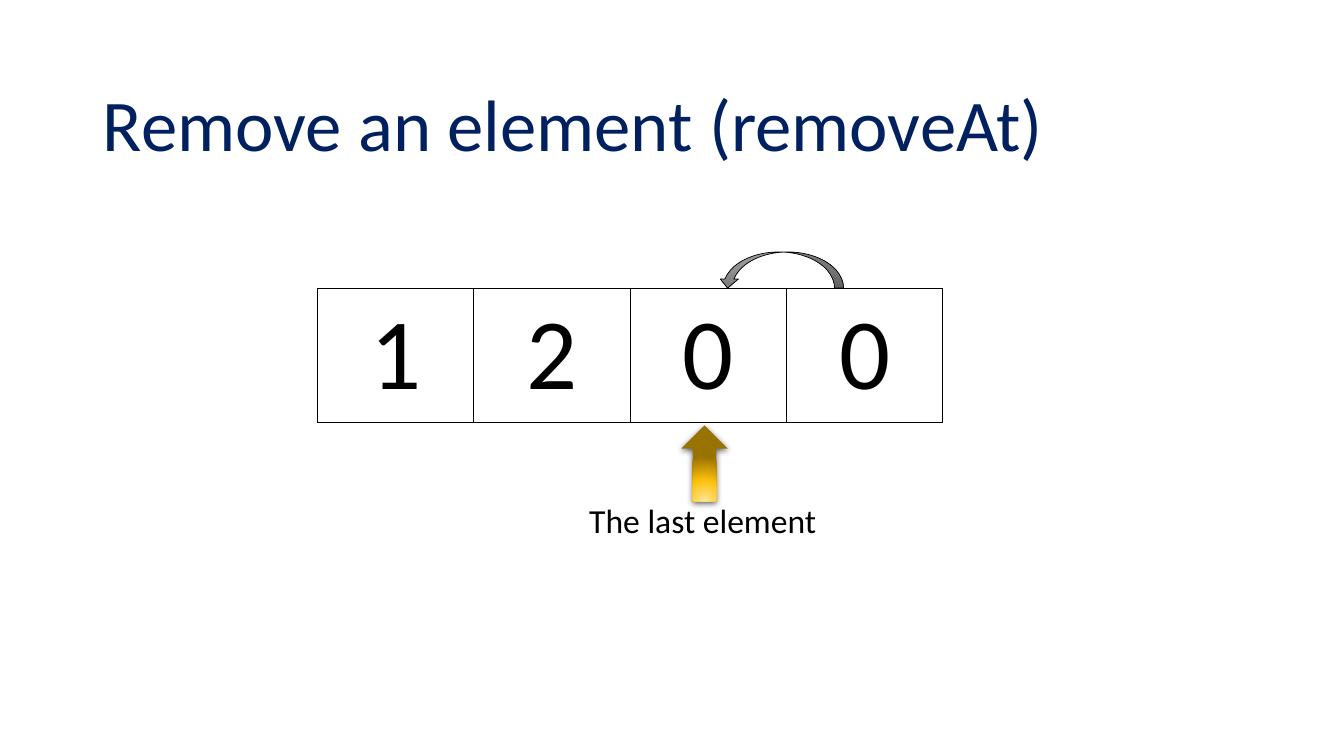
from lxml.etree import SubElement
from pptx import Presentation
from pptx.dml.color import RGBColor
from pptx.enum.shapes import MSO_SHAPE
from pptx.enum.text import MSO_ANCHOR, MSO_AUTO_SIZE, PP_ALIGN
from pptx.oxml.ns import qn
from pptx.util import Cm, Pt

COLOURS = {
    "title": "002060",
    "ink": "000000",
    "grey_light": "9D9D9D",
    "grey": "909090",
    "grey_dark": "7C7C7C",
    "gold_light": "FFE699",
    "gold": "FFC30D",
    "gold_dark": "997300",
}
FONT = "Calibri"
ARRAY_VALUES = ["1", "2", "0", "0"]
CELL_WIDTH, CELL_HEIGHT = 3.94, 3.38


def colour(name):
    return RGBColor.from_string(COLOURS[name])


def set_attributes(target, values):
    for name, value in values.items():
        setattr(target, name, value)


def write_text(text_frame, text, size, colour_name, **paragraph_format):
    paragraph = text_frame.paragraphs[0]
    paragraph.text = text
    set_attributes(paragraph, paragraph_format)
    font = paragraph.runs[0].font
    set_attributes(font, {"name": FONT, "size": Pt(size)})
    font.color.rgb = colour(colour_name)


def add_child(parent, tag, **attributes):
    values = {name: str(value) for name, value in attributes.items()}
    return SubElement(parent, qn(tag), values)


def add_colour(parent, name):
    return add_child(parent, "a:srgbClr", val=COLOURS[name])


def format_title(slide, text):
    title = slide.shapes.title
    set_attributes(title, {"left": Cm(2.34), "top": Cm(1.65),
                           "width": Cm(29.21), "height": Cm(3.15)})
    set_attributes(title.text_frame, {"vertical_anchor": MSO_ANCHOR.MIDDLE,
                                      "auto_size": MSO_AUTO_SIZE.NONE})
    write_text(title.text_frame, text, 52, "title",
               alignment=PP_ALIGN.LEFT, line_spacing=0.9)


def draw_borders(cell):
    properties = cell._tc.get_or_add_tcPr()
    for side in ("a:lnL", "a:lnR", "a:lnT", "a:lnB"):
        border = add_child(properties, side, w=Pt(1))
        add_colour(add_child(border, "a:solidFill"), "ink")


def add_array(slide, left, top, values):
    frame = slide.shapes.add_table(
        1, len(values), Cm(left), Cm(top),
        Cm(CELL_WIDTH * len(values)), Cm(CELL_HEIGHT))
    table = frame.table
    set_attributes(table, {"first_row": False, "horz_banding": False})
    for column, value in enumerate(values):
        table.columns[column].width = Cm(CELL_WIDTH)
        cell = table.cell(0, column)
        draw_borders(cell)
        cell.fill.background()
        write_text(cell.text_frame, value, 72, "ink", alignment=PP_ALIGN.CENTER)


def add_gradient_arrow(slide, kind, left, top, width, height, stops):
    """Add an arrow whose gradient has (percent, colour name) stops."""
    shape = slide.shapes.add_shape(kind, Cm(left), Cm(top), Cm(width), Cm(height))
    shape.shadow.inherit = False
    shape.fill.gradient()
    gradient = shape.element.spPr.find(qn("a:gradFill"))
    for child in list(gradient):
        gradient.remove(child)
    stop_list = add_child(gradient, "a:gsLst")
    for percent, name in stops:
        add_colour(add_child(stop_list, "a:gs", pos=percent * 1000), name)
    return shape, gradient


def add_shift_arrow(slide):
    shape, gradient = add_gradient_arrow(
        slide, MSO_SHAPE.CURVED_DOWN_ARROW, 18.11, 6.35, 3.15, 0.91,
        [(0, "grey_light"), (50, "grey"), (100, "grey_dark")])
    add_child(gradient, "a:lin", ang=90 * 60000, scaled=0)
    shape.element.spPr.xfrm.set("flipH", "1")
    shape.line.color.rgb = colour("ink")
    shape.line.width = Pt(0.5)


def add_pointer(slide):
    shape, gradient = add_gradient_arrow(
        slide, MSO_SHAPE.UP_ARROW, 17.17, 10.72, 1.17, 1.91,
        [(0, "gold_light"), (46, "gold"), (100, "gold_dark")])
    radial = add_child(gradient, "a:path", path="circle")
    add_child(radial, "a:fillToRect", l=50000, t=130000, r=50000, b=-30000)
    shape.line.fill.background()
    effects = shape.element.spPr.find(qn("a:effectLst"))
    shadow = add_child(effects, "a:outerShdw", blurRad=Pt(4.5), dist=Pt(1.5),
                       dir=90 * 60000, algn="ctr", rotWithShape=0)
    add_child(add_colour(shadow, "ink"), "a:alpha", val=63000)


def add_label(slide, text):
    box = slide.shapes.add_textbox(Cm(14.6), Cm(12.47), Cm(6.3), Cm(1.27))
    set_attributes(box.text_frame, {"word_wrap": False,
                                    "auto_size": MSO_AUTO_SIZE.SHAPE_TO_FIT_TEXT})
    write_text(box.text_frame, text, 24, "ink")


def main():
    presentation = Presentation()
    set_attributes(presentation, {"slide_width": Cm(33.87), "slide_height": Cm(19.05)})
    title_only = presentation.slide_layouts.get_by_name("Title Only")
    slide = presentation.slides.add_slide(title_only)
    format_title(slide, "Remove an element (removeAt)")
    add_array(slide, 8, 7.26, ARRAY_VALUES)
    add_shift_arrow(slide)
    add_pointer(slide)
    add_label(slide, "The last element")
    presentation.save("out.pptx")


if __name__ == "__main__":
    main()
